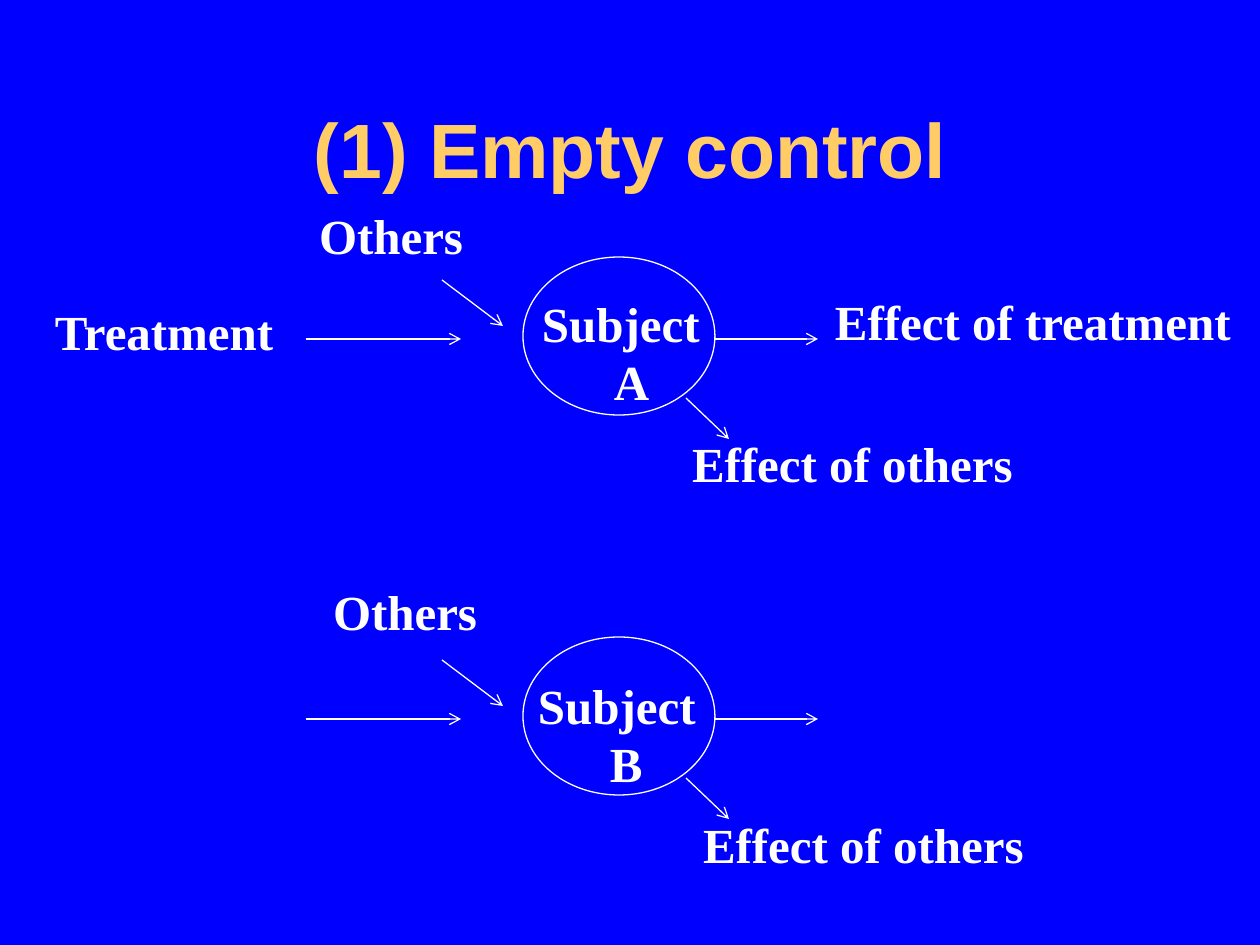
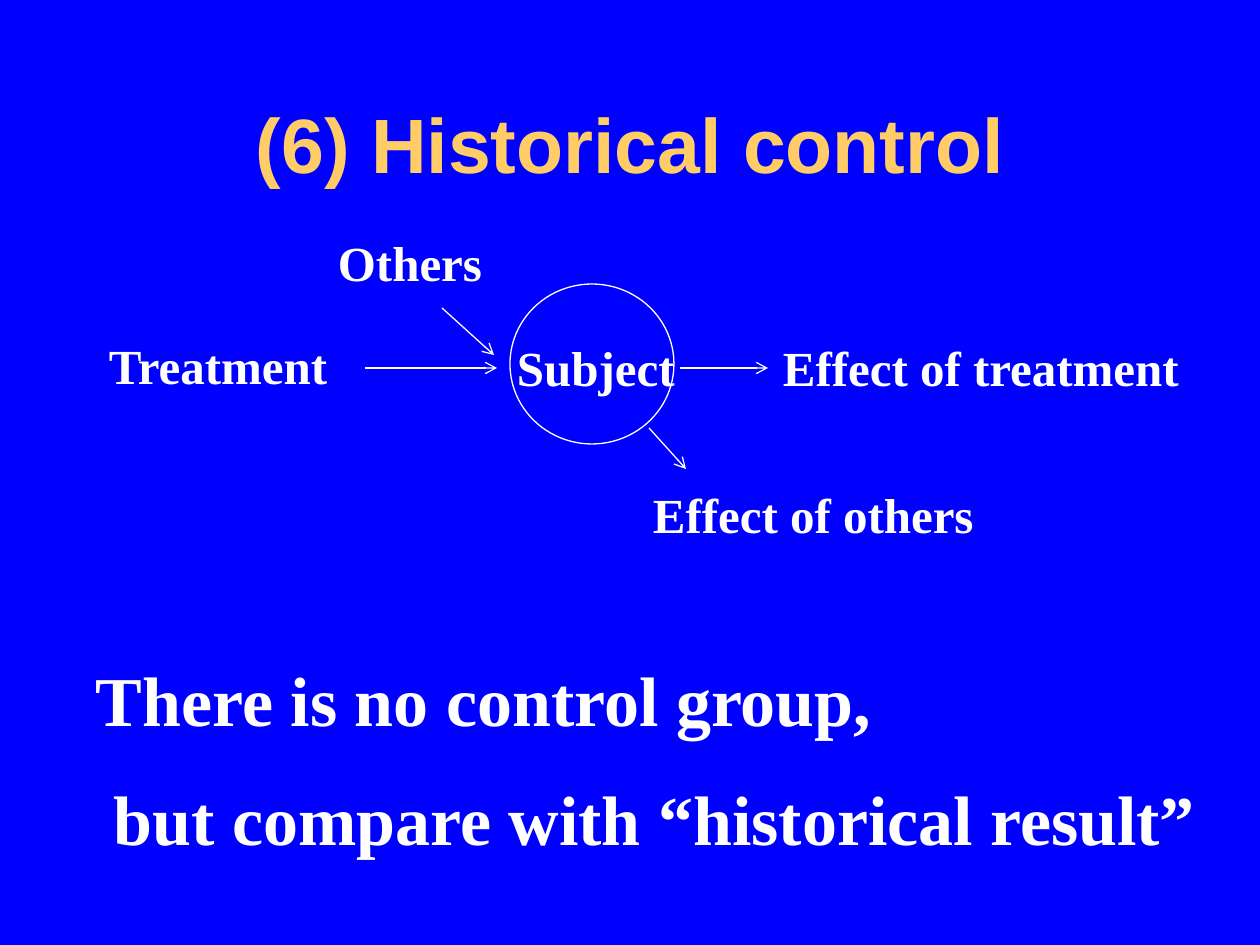
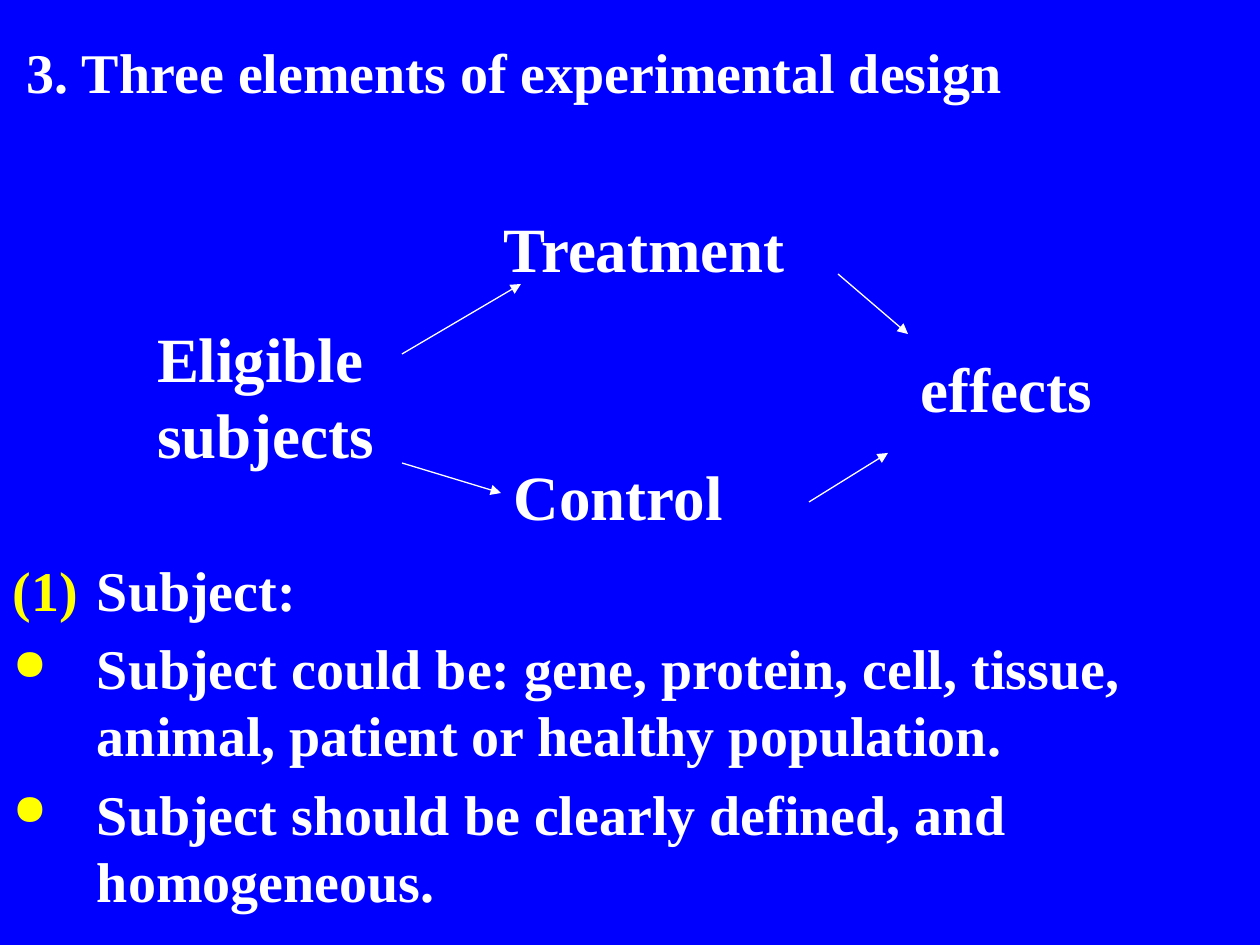
from itertools import zip_longest

from lxml.etree import SubElement
from pptx import Presentation
from pptx.dml.color import RGBColor
from pptx.enum.shapes import MSO_CONNECTOR as Connector, MSO_SHAPE as Shape
from pptx.enum.text import MSO_ANCHOR as Anchor, PP_ALIGN as Align
from pptx.oxml.ns import qn
from pptx.util import Pt

EMU_PER_PX = 914400 / 126
WIDTH, HEIGHT = 1260, 945
COLORS = {"background": "0000FF", "title": "FFCC66", "text": "FFFFFF", "bullet": "FFFF00"}
SERIF, SANS = "Times New Roman", "Arial"
INSET_X, INSET_Y = 13, 6
LABEL_HEIGHT = 96

PAIR_ELLIPSE = (523, 58, 192, 158)
PAIR_ARROWS = [
    (715, 140, 818, 140),
    (686, 199, 729, 240),
    (442, 81, 503, 127),
    (306, 140, 461, 140),
]
GROUP_A_LABELS = [
    (["Others"], 306, 0, 208),
    (["Effect of others"], 679, 228, 348),
    (["Effect of treatment"], 822, 87, 438),
    (["Treatment"], 42, 96, 265),
    (["Subject", "A"], 529, 88, 207),
]
GROUP_B_LABELS = [
    (["Others"], 320, -3, 208),
    (["Subject", "B"], 525, 90, 204),
    (["Effect of others"], 690, 229, 348),
]
HISTORICAL_ELLIPSE = (414, 58, 164, 160)
HISTORICAL_ARROWS = [
    (584, 142, 672, 142),
    (553, 202, 590, 243),
    (346, 82, 398, 129),
    (269, 142, 401, 142),
]
HISTORICAL_LABELS = [
    (["Others"], 229, 0, 176),
    (["Effect of others"], 544, 252, 368),
    (["Effect of treatment"], 674, 105, 431),
    (["Treatment"], 0, 104, 267),
    (["Subject"], 408, 105, 187),
]


def px(length):
    return round(length * EMU_PER_PX)


def color(name):
    return RGBColor.from_string(COLORS[name])


def add_slide(presentation):
    slide = presentation.slides.add_slide(presentation.slide_layouts[6])
    slide.background.fill.solid()
    slide.background.fill.fore_color.rgb = color("background")
    return slide


def add_text(slide, lines, box, size=28, font=SERIF, fill="text", align=Align.JUSTIFY,
             anchor=Anchor.TOP, before=0, indents=(), bullets=(), hanging=0):
    shape = slide.shapes.add_textbox(*map(px, box))
    frame = shape.text_frame
    frame.word_wrap = True
    frame.vertical_anchor = anchor
    frame.margin_left = frame.margin_right = px(INSET_X)
    frame.margin_top = frame.margin_bottom = px(INSET_Y)
    frame.text = "\n".join(lines)
    for paragraph, indent, bullet in zip_longest(frame.paragraphs, indents, bullets):
        paragraph.alignment = align
        paragraph.space_before = Pt(before)
        for run in paragraph.runs:
            run.font.name = font
            run.font.size = Pt(size)
            run.font.bold = True
            run.font.color.rgb = color(fill)
        properties = paragraph._p.get_or_add_pPr()
        if indent:
            properties.set("marL", str(px(indent)))
        if bullet:
            tag, scale, attributes = bullet
            properties.set("marL", str(px(hanging)))
            properties.set("indent", str(-px(hanging)))
            bullet_color = SubElement(properties, qn("a:buClr"))
            SubElement(bullet_color, qn("a:srgbClr"), val=COLORS["bullet"])
            SubElement(properties, qn("a:buSzPct"), val=str(scale * 1000))
            SubElement(properties, qn(tag), **attributes)


def add_title(slide, title, box):
    add_text(slide, [title], box, size=44, font=SANS, fill="title",
             align=Align.CENTER, anchor=Anchor.MIDDLE)


def add_arrow(slide, ends, head="arrow"):
    arrow = slide.shapes.add_connector(Connector.STRAIGHT, *map(px, ends))
    arrow.line.color.rgb = color("text")
    arrow.line.width = Pt(0.75)
    SubElement(arrow.line._get_or_add_ln(), qn("a:tailEnd"), type=head)
    SubElement(arrow._element.spPr, qn("a:effectLst"))


def add_subject_diagram(slide, left, top, ellipse, arrows, labels):
    x, y, width, height = ellipse
    subject = slide.shapes.add_shape(
        Shape.OVAL, *map(px, (left + x, top + y, width, height)))
    subject.shadow.inherit = False
    subject.fill.background()
    subject.line.color.rgb = color("text")
    subject.line.width = Pt(0.75)
    for x1, y1, x2, y2 in arrows:
        add_arrow(slide, (left + x1, top + y1, left + x2, top + y2))
    for lines, x, y, width in labels:
        indents = (0, 72)[:len(lines)]
        add_text(slide, lines, (left + x, top + y, width, LABEL_HEIGHT), indents=indents)


def add_design_flow(slide, left, top):
    labels = [
        (["Eligible", "subjects"], 0, 110, 297, 164),
        (["Treatment"], 347, 0, 338, 88),
        (["effects"], 764, 140, 208, 88),
        (["Control"], 357, 248, 277, 88),
    ]
    arrows = [
        (258, 150, 377, 80),
        (258, 259, 357, 289),
        (694, 70, 764, 130),
        (665, 298, 744, 249),
    ]
    for lines, x, y, width, height in labels:
        add_text(slide, lines, (left + x, top + y, width, height), size=36, align=Align.LEFT)
    for x1, y1, x2, y2 in arrows:
        add_arrow(slide, (left + x1, top + y1, left + x2, top + y2), head="triangle")


def build_empty_control(presentation):
    slide = add_slide(presentation)
    add_title(slide, "(1) Empty control", (95, 84, 1071, 127))
    for index, labels in enumerate((GROUP_A_LABELS, GROUP_B_LABELS)):
        add_subject_diagram(slide, 0, 199 + index * 380, PAIR_ELLIPSE, PAIR_ARROWS, labels)


def build_historical_control(presentation):
    slide = add_slide(presentation)
    add_title(slide, "(6) Historical control", (95, 84, 1071, 117))
    add_subject_diagram(slide, 96, 226, HISTORICAL_ELLIPSE, HISTORICAL_ARROWS, HISTORICAL_LABELS)
    add_text(slide, ["There is no control group,", "but compare with “historical result”"],
             (83, 651, 1177, 242), size=40, before=20, indents=(0, 18))


def build_three_elements(presentation):
    slide = add_slide(presentation)
    add_text(slide, ["3. Three elements of experimental design"], (0, 32, WIDTH, 113),
             size=32, indents=(14,))
    add_design_flow(slide, 144, 204)
    number = ("a:buAutoNum", 100, {"type": "arabicParenBoth"})
    dot = ("a:buChar", 77, {"char": "●"})
    points = [
        "Subject:",
        "Subject could be: gene, protein, cell, tissue, animal, patient or healthy population.",
        "Subject should be clearly defined, and homogeneous.",
    ]
    add_text(slide, points, (0, 549, WIDTH, HEIGHT - 549), size=32, align=Align.LEFT,
             before=6.4, bullets=(number, dot, dot), hanging=84)


def main():
    presentation = Presentation()
    presentation.slide_width, presentation.slide_height = px(WIDTH), px(HEIGHT)
    build_empty_control(presentation)
    build_historical_control(presentation)
    build_three_elements(presentation)
    presentation.save("out.pptx")


if __name__ == "__main__":
    main()
